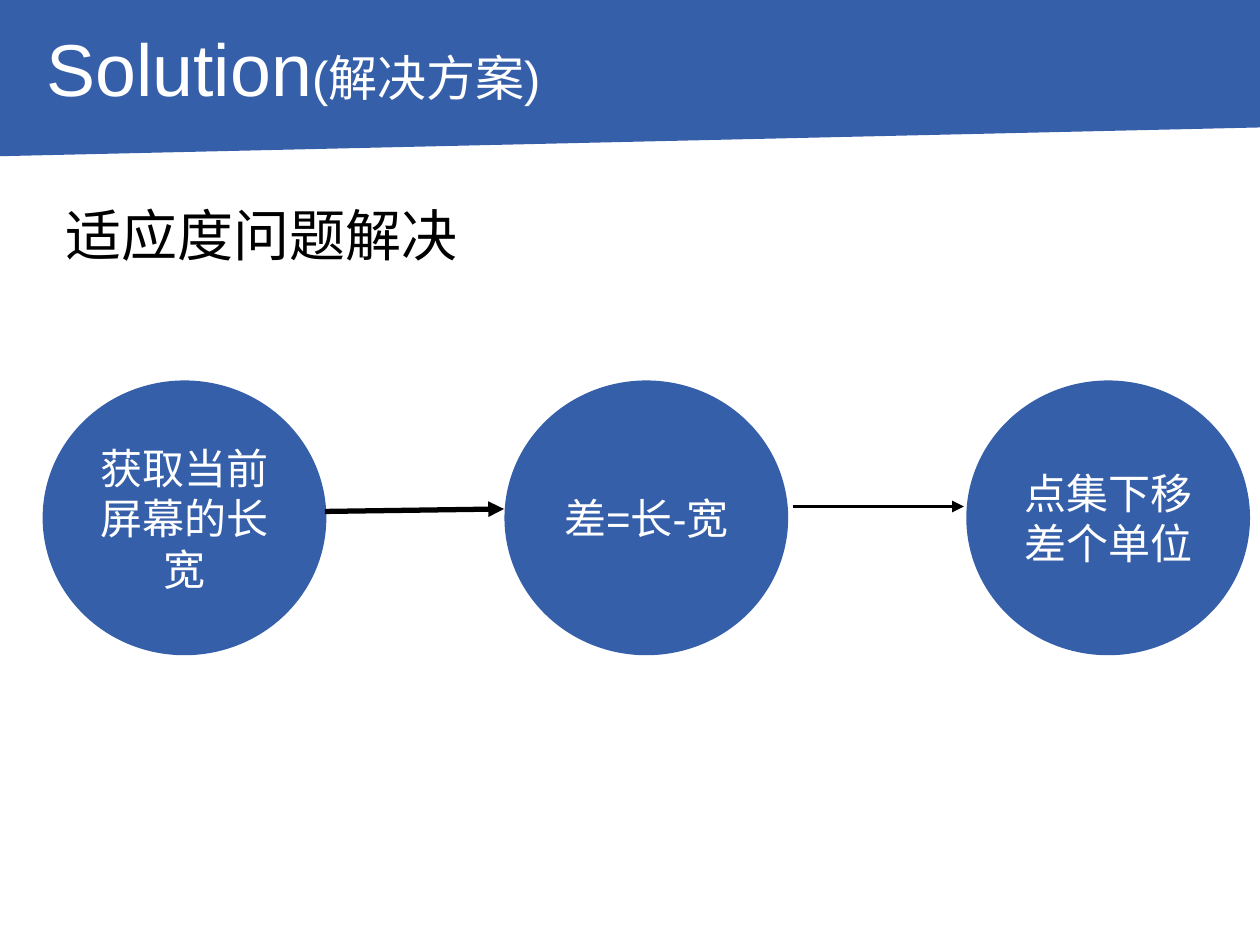
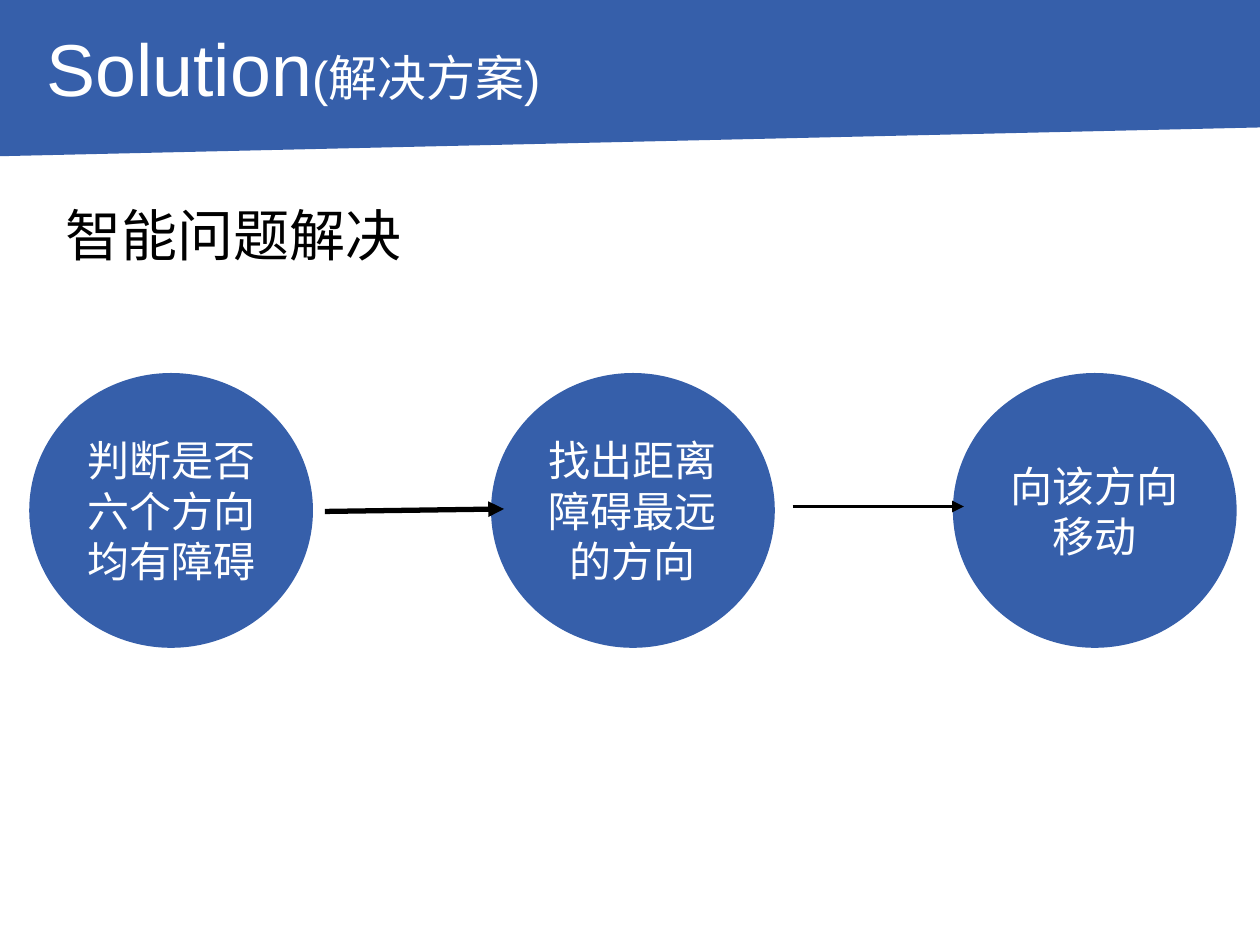
from dataclasses import dataclass

from pptx import Presentation
from pptx.dml.color import RGBColor
from pptx.enum.shapes import MSO_CONNECTOR as Connector, MSO_SHAPE as Shape
from pptx.enum.text import MSO_ANCHOR as Anchor, MSO_AUTO_SIZE as AutoSize, PP_ALIGN as Align
from pptx.oxml.ns import qn
from pptx.util import Cm, Pt
from lxml.etree import SubElement


@dataclass(frozen=True)
class Theme:
    font: str = "Arial"
    blue: RGBColor = RGBColor(0x36, 0x5F, 0xAA)
    white: RGBColor = RGBColor(0xFF, 0xFF, 0xFF)
    black: RGBColor = RGBColor(0, 0, 0)
    title: Pt = Pt(42)
    subtitle: Pt = Pt(28)
    heading: Pt = Pt(32)
    step: Pt = Pt(24)


THEME = Theme()
SLIDE_WIDTH, SLIDE_HEIGHT = Cm(25.4), Cm(19.05)
STEP_WIDTH, STEP_HEIGHT, STEP_PITCH = Cm(5.72), Cm(5.54), Cm(9.31)
ARROWS = [
    ((6.55, 10.31), (10.16, 10.26), 3),
    ((15.98, 10.21), (19.43, 10.21), 2.25),
]
SOLUTIONS = [
    ("适应度问题解决", Cm(0.86), Cm(7.67),
     ["获取当前屏幕的长宽", "差=长-宽", "点集下移差个单位"]),
    ("智能问题解决", Cm(0.59), Cm(7.52),
     ["判断是否六个方向均有障碍", "找出距离障碍最远的方向", "向该方向移动"]),
]


def style_run(run, size, color):
    run.font.name = THEME.font
    run.font.size = size
    run.font.color.rgb = color


def paint(figure):
    figure.fill.solid()
    figure.fill.fore_color.rgb = THEME.blue
    figure.line.fill.background()
    figure.shadow.inherit = False


def add_band(slide):
    outline = slide.shapes.build_freeform(0, 0)
    outline.add_line_segments(
        [(SLIDE_WIDTH, 0), (SLIDE_WIDTH, Cm(2.57)), (0, Cm(3.15))], close=True)
    paint(outline.convert_to_shape())


def add_title(slide):
    title = slide.shapes.add_textbox(Cm(0.69), Cm(0.69), Cm(23.11), Cm(1.7))
    title.text_frame.word_wrap = True
    line = title.text_frame.paragraphs[0]
    line.line_spacing = 0.8
    line.space_before = Pt(10)
    for words, size in (("Solution", THEME.title), ("(解决方案)", THEME.subtitle)):
        run = line.add_run()
        run.text = words
        style_run(run, size, THEME.white)


def add_heading(slide, words):
    heading = slide.shapes.add_textbox(Cm(1.07), Cm(3.91), Cm(8.74), Cm(1.63))
    frame = heading.text_frame
    frame.word_wrap = True
    frame.auto_size = AutoSize.SHAPE_TO_FIT_TEXT
    frame.text = words
    style_run(frame.paragraphs[0].runs[0], THEME.heading, THEME.black)


def add_step(slide, left, top, words):
    step = slide.shapes.add_shape(Shape.OVAL, left, top, STEP_WIDTH, STEP_HEIGHT)
    paint(step)
    frame = step.text_frame
    frame.word_wrap = True
    frame.vertical_anchor = Anchor.MIDDLE
    frame.margin_left = frame.margin_right = frame.margin_top = frame.margin_bottom = 0
    frame.text = words
    line = frame.paragraphs[0]
    line.alignment = Align.CENTER
    style_run(line.runs[0], THEME.step, THEME.white)


def add_arrow(slide, start, end, weight):
    arrow = slide.shapes.add_connector(
        Connector.STRAIGHT, *(Cm(length) for length in start + end))
    arrow.line.width = Pt(weight)
    arrow.line.color.rgb = THEME.black
    SubElement(arrow.line._get_or_add_ln(), qn("a:tailEnd"), type="triangle")
    SubElement(arrow._element.spPr, qn("a:effectLst"))


def add_solution(deck, heading, left, top, steps):
    slide = deck.slides.add_slide(deck.slide_layouts[6])
    add_band(slide)
    add_title(slide)
    for position, words in enumerate(steps):
        add_step(slide, left + position * STEP_PITCH, top, words)
    add_heading(slide, heading)
    for start, end, weight in ARROWS:
        add_arrow(slide, start, end, weight)


def main():
    deck = Presentation()
    deck.slide_width, deck.slide_height = SLIDE_WIDTH, SLIDE_HEIGHT
    for solution in SOLUTIONS:
        add_solution(deck, *solution)
    deck.save("out.pptx")


if __name__ == "__main__":
    main()
